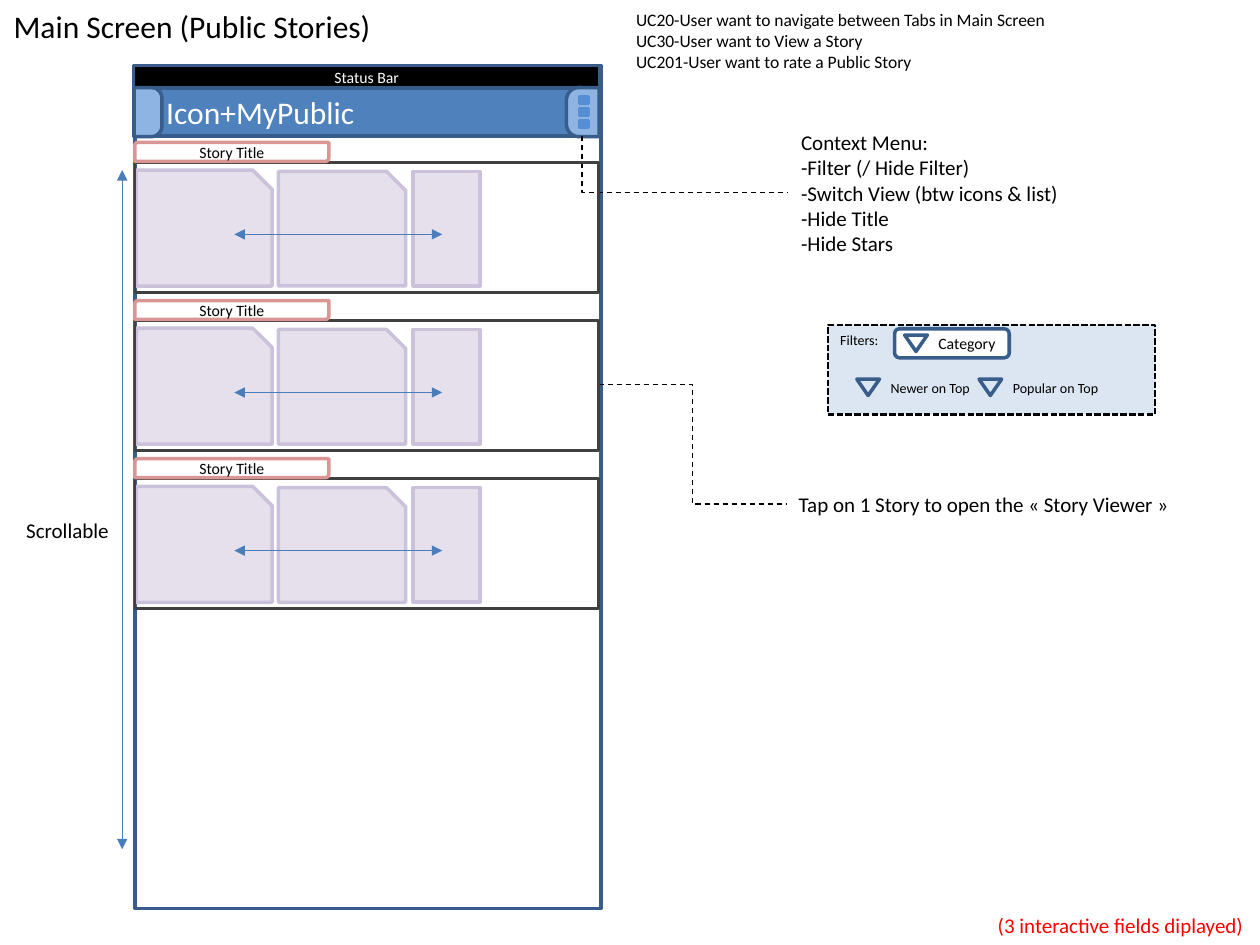
import pptx
import pptx.util
import pptx.dml.color
import pptx.enum.dml
import pptx.enum.shapes
import pptx.enum.text
import pptx.oxml.ns
from dataclasses import dataclass
from lxml import etree

MSO = pptx.enum.shapes.MSO_SHAPE
LINK = pptx.enum.shapes.MSO_CONNECTOR
ALIGN = pptx.enum.text.PP_ALIGN
ANCHOR = pptx.enum.text.MSO_ANCHOR
DASH = pptx.enum.dml.MSO_LINE
qn = pptx.oxml.ns.qn

COLORS = {
    "black": "000000", "white": "FFFFFF", "red": "FF0000",
    "navy": "385D8A", "blue": "4F81BD", "arrow": "4A7EBB",
    "button": "8EB4E3", "dot": "558ED5", "panel": "DCE6F2",
    "card": "E6E0EC", "card_edge": "CCC1DA",
    "title_edge": "D99694", "row_edge": "404040",
}

prs = pptx.Presentation()
prs.slide_width = pptx.util.Inches(10)
prs.slide_height = pptx.util.Inches(7.5)
s = prs.slides.add_slide(prs.slide_layouts[6])

# Grid of 100 columns by 75 rows
COL = prs.slide_width / 100
ROW = prs.slide_height / 75


@dataclass
class Box:
    x: float
    y: float
    w: float
    h: float

    def emu(self) -> list[int]:
        return [round(self.x * COL), round(self.y * ROW),
                round(self.w * COL), round(self.h * ROW)]


def rgb(name: str) -> pptx.dml.color.RGBColor:
    return pptx.dml.color.RGBColor.from_string(COLORS[name])


def write(sp, text: str, size: float, color: str, align=ALIGN.LEFT) -> None:
    tf = sp.text_frame
    tf.text = text
    for p in tf.paragraphs:
        p.alignment = align
        for r in p.runs:
            r.font.name = "Calibri"
            r.font.size = pptx.util.Pt(size)
            r.font.color.rgb = rgb(color)


def add_label(box: Box, text: str, size: float, color: str = "black", wrap: bool = False):
    sp = s.shapes.add_textbox(*box.emu())
    sp.text_frame.word_wrap = wrap
    sp.text_frame.auto_size = pptx.enum.text.MSO_AUTO_SIZE.SHAPE_TO_FIT_TEXT
    write(sp, text, size, color)
    return sp


def add_box(kind, box: Box, fill: str | None, edge: str, width: float = 2, adj: tuple = ()):
    sp = s.shapes.add_shape(kind, *box.emu())
    sp.shadow.inherit = False
    if fill:
        sp.fill.solid()
        sp.fill.fore_color.rgb = rgb(fill)
    else:
        sp.fill.background()
    sp.line.color.rgb = rgb(edge)
    sp.line.width = pptx.util.Pt(width)
    for i, value in enumerate(adj):
        sp.adjustments[i] = value
    return sp


def add_link(kind, x1: float, y1: float, x2: float, y2: float, color: str,
             dashed: bool = False, arrows: bool = False):
    c = s.shapes.add_connector(kind, round(x1 * COL), round(y1 * ROW),
                               round(x2 * COL), round(y2 * ROW))
    c.line.color.rgb = rgb(color)
    c.line.width = pptx.util.Pt(0.75)
    if dashed:
        c.line.dash_style = DASH.DASH
    if arrows:
        ln = c.line._get_or_add_ln()
        for end in ("a:headEnd", "a:tailEnd"):
            etree.SubElement(ln, qn(end)).set("type", "triangle")
    etree.SubElement(c._element.spPr, qn("a:effectLst"))
    return c


def add_down_triangle(x: float, y: float) -> None:
    sp = add_box(MSO.ISOSCELES_TRIANGLE, Box(x, y, 1.8, 1.3), None, "navy")
    sp._element.spPr.find(qn("a:xfrm")).set("flipV", "1")


def add_story_row(top: float) -> None:
    """Title tab, three cards and a swipe arrow, inside a row frame."""
    add_box(MSO.SNIP_1_RECTANGLE, Box(10.8, top + 0.6, 10.8, 9.2), "card", "card_edge", adj=(0.167,))
    add_box(MSO.SNIP_1_RECTANGLE, Box(22.1, top + 0.7, 10.1, 9.1), "card", "card_edge", adj=(0.167,))
    add_box(MSO.RECTANGLE, Box(10.7, top, 36.8, 10.3), None, "row_edge", 1.5)
    sp = add_box(MSO.ROUND_2_DIAG_RECTANGLE, Box(10.7, top - 1.6, 15.4, 1.5),
                 "white", "title_edge", adj=(0.167, 0))
    sp.text_frame.vertical_anchor = ANCHOR.MIDDLE
    write(sp, "Story Title", 9, "black", ALIGN.CENTER)
    add_box(MSO.RECTANGLE, Box(32.8, top + 0.7, 5.3, 9.1), "card", "card_edge")
    add_link(LINK.STRAIGHT, 18.6, top + 5.7, 35.1, top + 5.7, "arrow", arrows=True)


# Heading and phone frame
add_label(Box(0.1, 0.1, 30.4, 4), "Main Screen (Public Stories)", 18)
add_box(MSO.RECTANGLE, Box(10.7, 5.2, 37, 66.9), None, "navy")

# Scroll arrow and story callout
add_link(LINK.ELBOW, 47.5, 30.5, 62.4, 40, "black", dashed=True)
add_link(LINK.STRAIGHT, 9.7, 13.5, 9.7, 67.4, "arrow", arrows=True)
add_label(Box(1.1, 40.6, 9.6, 3), "Scrollable", 12, wrap=True)
add_label(Box(62.4, 38.5, 32.5, 3), "Tap on 1 Story to open the « Story Viewer »", 12, wrap=True)

# Filter panel
panel = add_box(MSO.RECTANGLE, Box(65.7, 25.8, 26, 7.1), "panel", "black", 1.25)
panel.line.dash_style = DASH.SQUARE_DOT
panel.text_frame.vertical_anchor = ANCHOR.TOP
write(panel, "Filters:", 8, "black")
category = add_box(MSO.ROUNDED_RECTANGLE, Box(71, 26.1, 9.1, 2.3), "white", "navy", adj=(0.167,))
category.text_frame.vertical_anchor = ANCHOR.MIDDLE
write(category, "Category", 9, "black", ALIGN.RIGHT)
add_down_triangle(71.8, 26.6)
for x, width, text in ((68, 8.4, "Newer on Top"), (77.7, 8.9, "Popular on Top")):
    add_down_triangle(x, 30.1)
    add_label(Box(x + 1.7, 29.6, width, 2.4), text, 8)

# Use cases
add_label(Box(49.5, 0.2, 50, 7.7),
          "UC20-User want to navigate between Tabs in Main Screen\n"
          "UC30-User want to View a Story\n"
          "UC201-User want to rate a Public Story", 10, wrap=True)

# Title bar and status bar
for y, h, fill, text, size, align in (
        (6.9, 3.9, "blue", "Icon+MyPublic", 18, ALIGN.LEFT),
        (5.2, 1.8, "black", "Status Bar", 9, ALIGN.CENTER)):
    bar = add_box(MSO.RECTANGLE, Box(10.6, y, 37, h), fill, "navy")
    bar.text_frame.vertical_anchor = ANCHOR.MIDDLE
    if align == ALIGN.LEFT:
        bar.text_frame.margin_left = round(2.6 * COL)
    write(bar, text, size, "white", align)

# Buttons at both ends of the title bar
for box, adj in ((Box(9.8, 7.8, 3.9, 2.2), (0.38, 0)),
                 (Box(44.3, 7.6, 3.9, 2.6), (0, 0.38))):
    add_box(MSO.ROUND_2_SAME_RECTANGLE, box, "button", "navy", adj=adj).rotation = 90
for i in range(3):
    add_box(MSO.RECTANGLE, Box(46, 7.7 + 0.95 * i, 0.7, 0.5), "dot", "dot")

# Footnote and context menu
add_label(Box(78.2, 71.9, 21.6, 3), "(3 interactive fields diplayed)", 12, "red")
add_label(Box(62.6, 9.8, 22.4, 11),
          "Context Menu:\n-Filter (/ Hide Filter)\n-Switch View (btw icons & list)\n"
          "-Hide Title\n-Hide Stars", 12)
menu_link = add_link(LINK.ELBOW, 52.1, 4.9, 56.6, 21.2, "black", dashed=True)
menu_link._element.spPr.find(qn("a:prstGeom")).set("prst", "bentConnector2")
xfrm = menu_link._element.spPr.find(qn("a:xfrm"))
xfrm.set("rot", str(270 * 60000))
xfrm.set("flipH", "1")

# Story rows
for i in range(3):
    add_story_row(12.9 + 12.55 * i)

prs.save("out.pptx")
